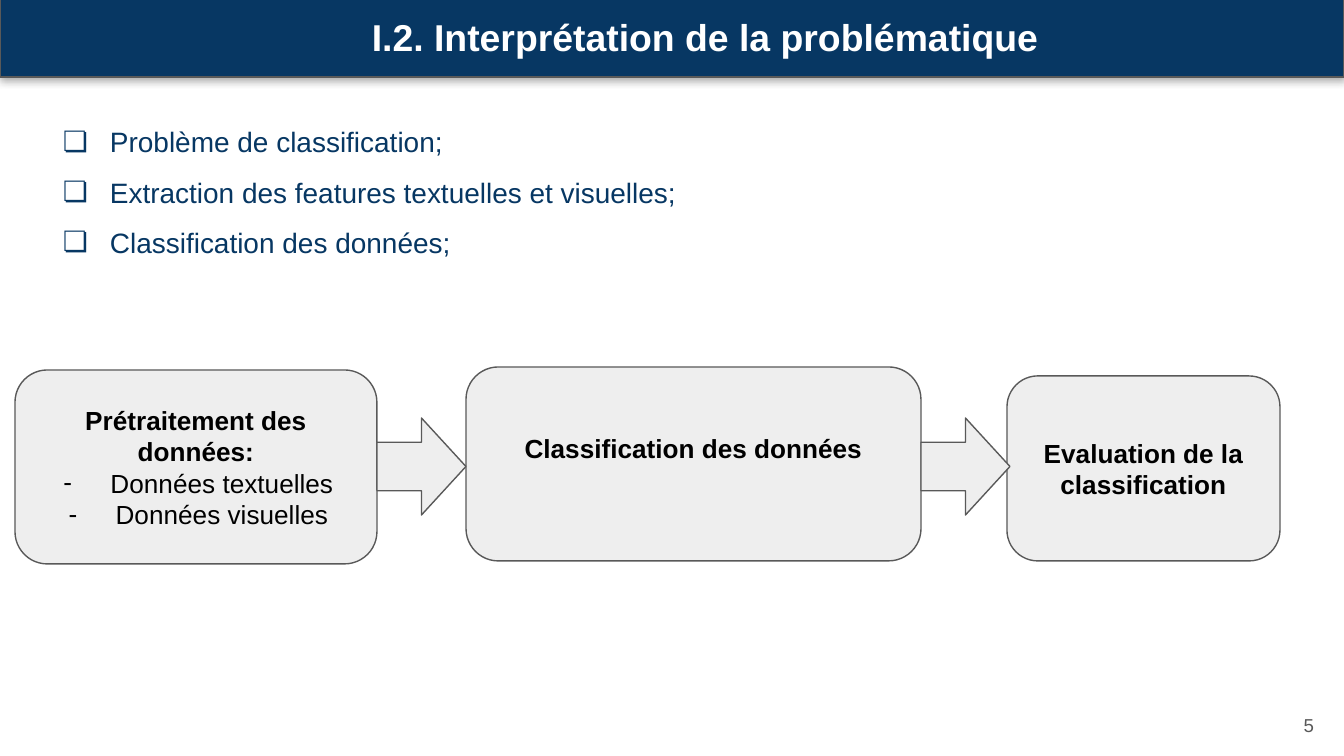
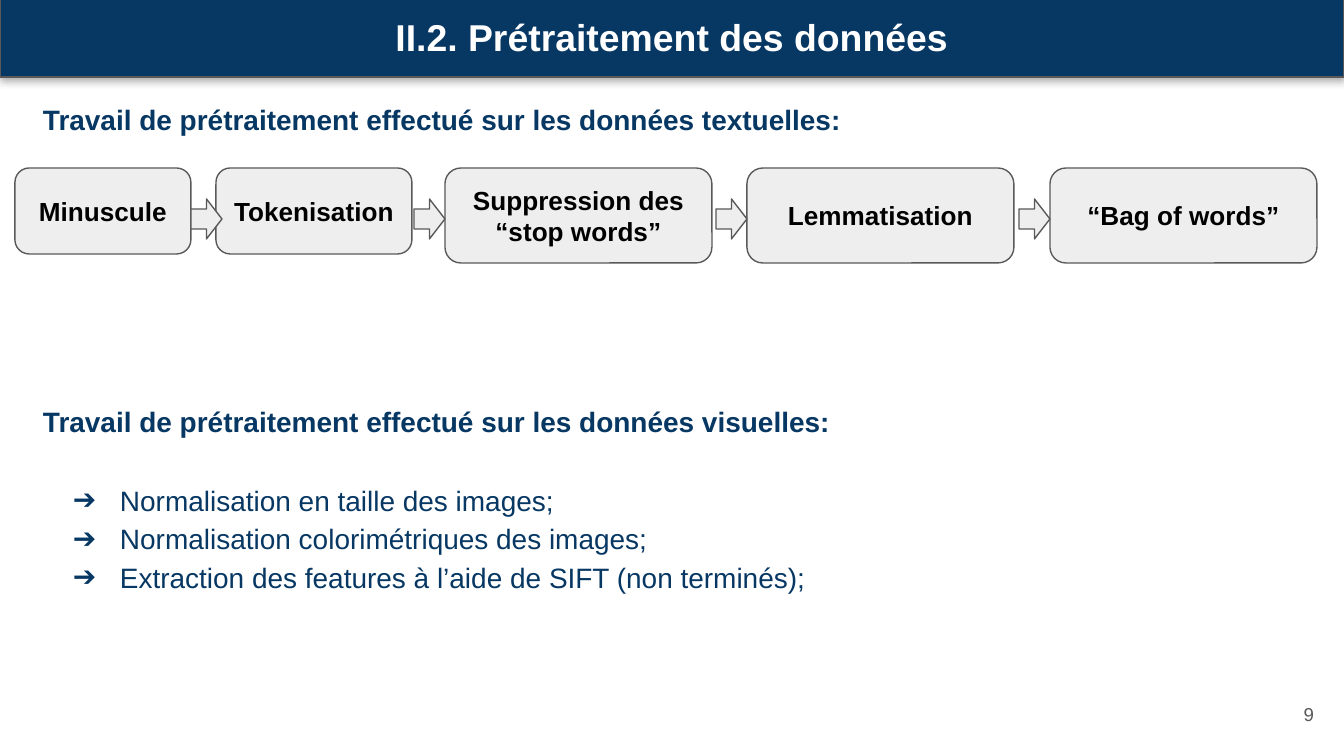
import pptx
import pptx.dml.color
import pptx.enum.shapes
import pptx.enum.text
import pptx.oxml.ns
import pptx.util
from lxml import etree

NAVY, GREY, PALE, WHITE, BLACK = "073763", "595959", "EEEEEE", "FFFFFF", "000000"
SHAPE = pptx.enum.shapes.MSO_SHAPE
ALIGN = pptx.enum.text.PP_ALIGN
ANCHOR = pptx.enum.text.MSO_ANCHOR
INSET = 13
HANGING = -47

TITLE = {"size": 20, "bold": True, "color": WHITE}
HEADING = {"size": 15, "bold": True, "color": NAVY}
ITEM = {"size": 15, "bold": False, "color": NAVY}
STEP = {"size": 14, "bold": True, "color": BLACK}
STEP_ITEM = {**STEP, "bold": False}
NUMBER = {"size": 10, "bold": False, "color": GREY}


def px(length):
    return pptx.util.Emu(round(length * 914400 / 134.4))


def rgb(color):
    return pptx.dml.color.RGBColor.from_string(color)


def add_xml(parent, tag, **attributes):
    element = etree.SubElement(parent, pptx.oxml.ns.qn(tag))
    for name, value in attributes.items():
        element.set(name, str(value))
    return element


def format_frame(frame, anchor, bottom=INSET):
    values = {
        "word_wrap": True,
        "auto_size": pptx.enum.text.MSO_AUTO_SIZE.NONE,
        "vertical_anchor": anchor,
        "margin_left": px(INSET),
        "margin_top": px(INSET),
        "margin_right": px(INSET),
        "margin_bottom": px(bottom),
    }
    for name, value in values.items():
        setattr(frame, name, value)


def write_paragraph(paragraph, text, style, align=ALIGN.LEFT, spacing=1.0,
                    margin=0, bullet=None):
    run = paragraph.add_run()
    run.text = text
    font = {"name": "Arial", "size": pptx.util.Pt(style["size"]), "bold": style["bold"]}
    for name, value in font.items():
        setattr(run.font, name, value)
    run.font.color.rgb = rgb(style["color"])
    paragraph.alignment = align
    paragraph.line_spacing = spacing
    properties = paragraph._p.get_or_add_pPr()
    properties.set("marL", str(px(margin)))
    properties.set("indent", str(px(HANGING if bullet else 0)))
    if bullet:
        color = add_xml(properties, "a:buClr")
        add_xml(color, "a:srgbClr", val=style["color"])
        add_xml(properties, "a:buFont", typeface="Arial")
        add_xml(properties, "a:buChar", char=bullet)


def paint(shape, fill):
    shape.fill.solid()
    shape.fill.fore_color.rgb = rgb(fill)
    shape.line.color.rgb = rgb(GREY)
    shape.line.width = pptx.util.Pt(0.75)
    shape.shadow.inherit = False


def add_band_shadow(band):
    effects = band._element.spPr.find(pptx.oxml.ns.qn("a:effectLst"))
    shadow = add_xml(effects, "a:outerShdw", blurRad=pptx.util.Pt(4.5),
                     dist=pptx.util.Pt(1.5), dir=90 * 60000, algn="bl", rotWithShape=0)
    color = add_xml(shadow, "a:srgbClr", val=GREY)
    add_xml(color, "a:alpha", val=50000)


def add_text(slide, box, texts, style, anchor=ANCHOR.TOP, **layout):
    frame = slide.shapes.add_textbox(*map(px, box)).text_frame
    format_frame(frame, anchor)
    for index, text in enumerate(texts):
        paragraph = frame.add_paragraph() if index else frame.paragraphs[0]
        write_paragraph(paragraph, text, style, **layout)


def add_heading(slide, top, text):
    add_text(slide, (30, top, 1297, 58), [text], HEADING, spacing=1.15)


def add_titled_slide(presentation, title, number, number_top, title_margin=0):
    """Add a slide with its navy title band and page number."""
    slide = presentation.slides.add_slide(presentation.slide_layouts[5])
    band = slide.shapes.title
    for name, value in zip(("left", "top", "width", "height"), (0, -4, 1344, 81)):
        setattr(band, name, px(value))
    paint(band, NAVY)
    add_band_shadow(band)
    format_frame(band.text_frame, ANCHOR.MIDDLE)
    write_paragraph(band.text_frame.paragraphs[0], title, TITLE, ALIGN.CENTER,
                    margin=title_margin)
    add_text(slide, (1246, number_top, 81, 58), [number], NUMBER, ANCHOR.MIDDLE,
             align=ALIGN.RIGHT)
    return slide


def add_step(slide, box, title, items=(), bottom=INSET):
    step = slide.shapes.add_shape(SHAPE.ROUNDED_RECTANGLE, *map(px, box))
    paint(step, PALE)
    frame = step.text_frame
    format_frame(frame, ANCHOR.MIDDLE, bottom)
    write_paragraph(frame.paragraphs[0], title, STEP, ALIGN.CENTER)
    for item in items:
        write_paragraph(frame.add_paragraph(), item, STEP_ITEM, ALIGN.CENTER,
                        margin=52, bullet="-")


def add_arrows(slide, lefts, top, width, height):
    for left in lefts:
        arrow = slide.shapes.add_shape(SHAPE.RIGHT_ARROW, *map(px, (left, top, width, height)))
        paint(arrow, PALE)


def add_problem_slide(presentation):
    slide = add_titled_slide(presentation, "I.2. Interprétation de la problématique",
                             "5", 696, title_margin=67)
    goals = ["Problème de classification;",
             "Extraction des features textuelles et visuelles;",
             "Classification des données;"]
    add_text(slide, (30, 95, 1297, 167), goals, ITEM, spacing=1.5, margin=67, bullet="❏")
    add_step(slide, (15, 370, 362, 194), "Prétraitement des données:",
             ["Données textuelles", "Données visuelles"])
    add_step(slide, (466, 367, 455, 194), "Classification des données", bottom=44)
    add_step(slide, (1007, 376, 273, 185), "Evaluation de la classification")
    add_arrows(slide, (377, 921), 418, 89, 97)


def add_preprocessing_slide(presentation):
    slide = add_titled_slide(presentation, "II.2. Prétraitement des données", "9", 685)
    add_heading(slide, 85, "Travail de prétraitement effectué sur les données textuelles:")
    steps = [("Minuscule", 15, 176, 86),
             ("Tokenisation", 216, 196, 86),
             ("Suppression des “stop words”", 445, 267, 95),
             ("Lemmatisation", 747, 267, 95),
             ("“Bag of words”", 1050, 267, 95)]
    for title, left, width, height in steps:
        add_step(slide, (left, 168, width, height), title)
    arrow_width = 31
    later_arrows = [left - arrow_width for _, left, _, _ in steps[2:]]
    add_arrows(slide, [191, *later_arrows], 199, arrow_width, 40)
    add_heading(slide, 387, "Travail de prétraitement effectué sur les données visuelles:")
    tasks = ["Normalisation en taille des images;",
             "Normalisation colorimétriques des images;",
             "Extraction des features à l’aide de SIFT (non terminés);"]
    add_text(slide, (40, 465, 1297, 141), tasks, ITEM, spacing=1.15, margin=67, bullet="➔")


def main():
    presentation = pptx.Presentation()
    presentation.slide_width = px(1344)
    presentation.slide_height = px(756)
    add_problem_slide(presentation)
    add_preprocessing_slide(presentation)
    presentation.save("out.pptx")


if __name__ == "__main__":
    main()
